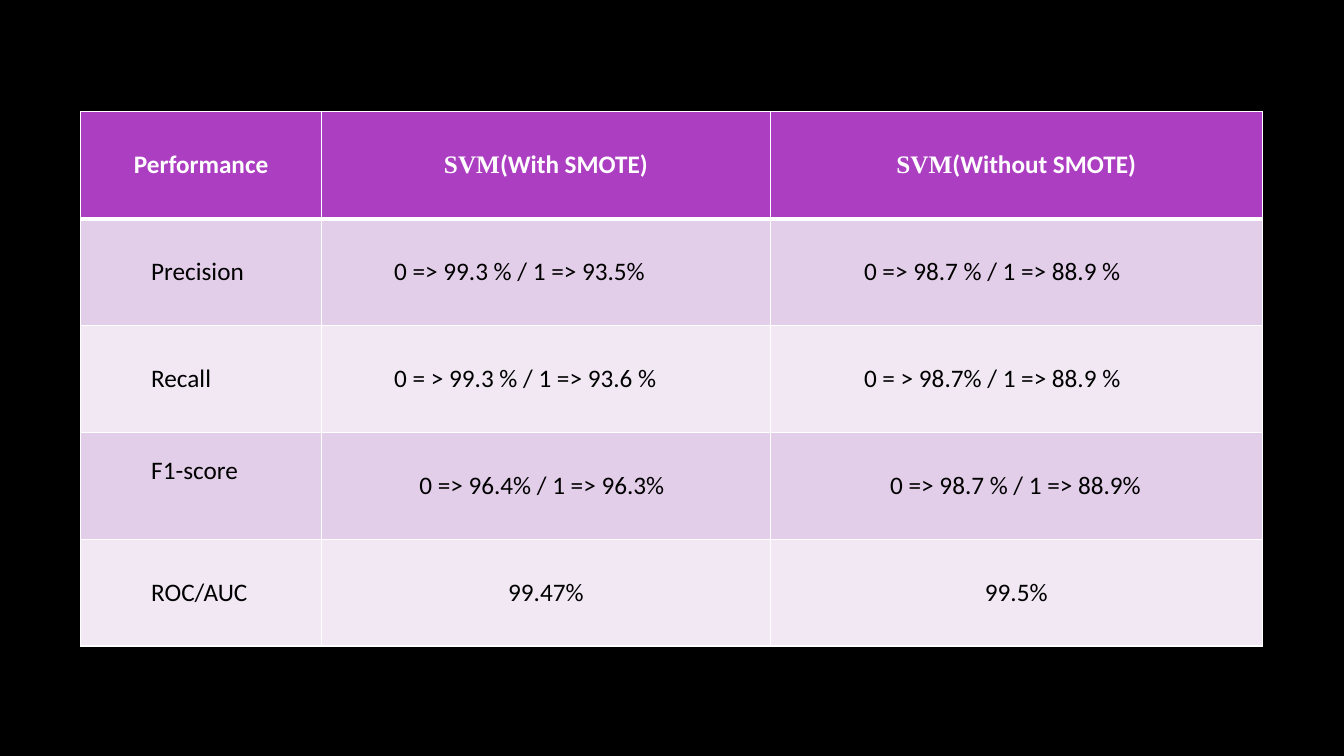
"""Build a slide with a table comparing SVM performance with and without SMOTE."""
from dataclasses import dataclass

from lxml.etree import SubElement
from pptx import Presentation
from pptx.dml.color import RGBColor
from pptx.enum.text import MSO_ANCHOR, PP_ALIGN
from pptx.oxml.ns import qn
from pptx.util import Inches, Pt


@dataclass(frozen=True)
class Theme:
    background: str = "000000"
    header: str = "AC3EC1"
    bands: tuple = ("E3CEE9", "F1E8F4")
    header_text: str = "FFFFFF"
    body_text: str = "000000"
    border: str = "FFFFFF"
    font: str = "Calibri"
    model_font: str = "Times New Roman"
    size: int = 18


theme = Theme()


def set_border(cell, side, points):
    line = SubElement(cell._tc.get_or_add_tcPr(), qn(f"a:ln{side}"), w=str(Pt(points)))
    fill = SubElement(line, qn("a:solidFill"))
    SubElement(fill, qn("a:srgbClr"), val=theme.border)


def add_run(paragraph, text, font, color, bold):
    run = paragraph.add_run()
    run.text = text
    run.font.name = font
    run.font.size = Pt(theme.size)
    run.font.bold = bold
    run.font.color.rgb = RGBColor.from_string(color)


prs = Presentation()
prs.slide_width, prs.slide_height = Inches(13.33), Inches(7.5)
slide = prs.slides.add_slide(prs.slide_layouts[6])
slide.background.fill.solid()
slide.background.fill.fore_color.rgb = RGBColor.from_string(theme.background)

headings = [("", "Performance"), ("SVM", "(With SMOTE)"), ("SVM", "(Without SMOTE)")]
scores = [
    ("Precision", "0 => 99.3 % / 1 => 93.5%", "0 => 98.7 % / 1 => 88.9 %"),
    ("Recall", "0 = > 99.3 % / 1 => 93.6 %", "0 = > 98.7% / 1 => 88.9 %"),
    ("F1-score", "0 => 96.4% / 1 => 96.3%", "0 => 98.7 % / 1 => 88.9%"),
    ("ROC/AUC", "99.47%", "99.5%"),
]
indents = [
    (0.7, 0.72, 0.93),
    (0.7, 0.72, 0.93),
    (0.7, 0.97, 1.19),
    (0.7, None, None),
]
column_widths = [2.39, 4.45, 4.88]
row_height = 1.06

performance = slide.shapes.add_table(
    len(scores) + 1, len(headings), Inches(0.8), Inches(1.11),
    Inches(sum(column_widths)), Inches(row_height * (len(scores) + 1)),
).table
for column, width in zip(performance.columns, column_widths):
    column.width = Inches(width)
for row in performance.rows:
    row.height = Inches(row_height)

for col, (model, label) in enumerate(headings):
    paragraph = performance.cell(0, col).text_frame.paragraphs[0]
    paragraph.alignment = PP_ALIGN.CENTER
    if model:
        add_run(paragraph, model, theme.model_font, theme.header_text, True)
    add_run(paragraph, label, theme.font, theme.header_text, True)

for row, (values, row_indents) in enumerate(zip(scores, indents), start=1):
    for col, (value, indent) in enumerate(zip(values, row_indents)):
        cell = performance.cell(row, col)
        paragraph = cell.text_frame.paragraphs[0]
        paragraph.alignment = PP_ALIGN.CENTER if indent is None else PP_ALIGN.LEFT
        if indent is not None:
            cell.margin_left = Inches(indent)
        if value == "F1-score":
            cell.margin_bottom = Inches(0.35)
        add_run(paragraph, value, theme.font, theme.body_text, False)

for row in range(len(scores) + 1):
    color = theme.bands[(row - 1) % 2] if row else theme.header
    for col in range(len(headings)):
        cell = performance.cell(row, col)
        cell.vertical_anchor = MSO_ANCHOR.MIDDLE
        for side in "LRTB":
            header_rule = (row, side) in ((0, "B"), (1, "T"))
            set_border(cell, side, 3 if header_rule else 1)
        cell.fill.solid()
        cell.fill.fore_color.rgb = RGBColor.from_string(color)

prs.save("out.pptx")
